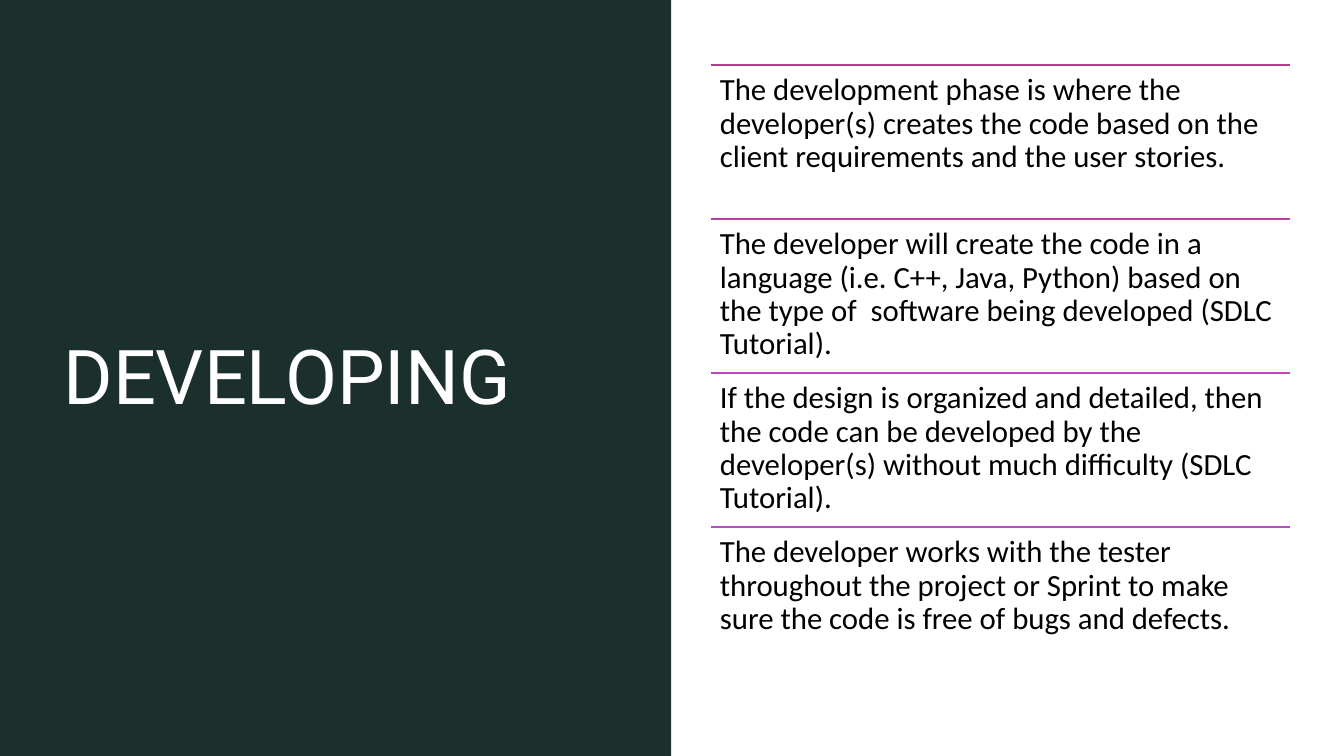
from lxml.etree import SubElement
from pptx import Presentation
from pptx.dml.color import RGBColor
from pptx.enum.shapes import MSO_CONNECTOR, MSO_SHAPE
from pptx.enum.text import MSO_ANCHOR, PP_ALIGN
from pptx.oxml.ns import qn
from pptx.util import Pt

DARK_GREEN = RGBColor(0x1B, 0x30, 0x2C)
WHITE = RGBColor(0xFF, 0xFF, 0xFF)
BLACK = RGBColor(0x00, 0x00, 0x00)

LEFT, TOP, WIDTH, ROW_HEIGHT = 507.6, 46.5, 414, 110

POINTS = [
    (RGBColor(0xB1, 0x3B, 0x8C),
     "The development phase is where the developer(s) creates the code "
     "based on the client requirements and the user stories."),
    (RGBColor(0xBA, 0x3E, 0xA4),
     "The developer will create the code in a language (i.e. C++, Java, Python) "
     "based on the type of  software being developed (SDLC Tutorial)."),
    (RGBColor(0xC0, 0x44, 0xBC),
     "If the design is organized and detailed, then the code can be developed "
     "by the developer(s) without much difficulty (SDLC Tutorial)."),
    (RGBColor(0xB7, 0x4D, 0xC3),
     "The developer works with the tester throughout the project or Sprint "
     "to make sure the code is free of bugs and defects."),
]


def add_text(s, text, box, frame_format, font_format, color, spacing):
    tf = s.shapes.add_textbox(*[Pt(v) for v in box]).text_frame
    for name, value in frame_format.items():
        setattr(tf, name, value)
    p = tf.paragraphs[0]
    p.alignment = PP_ALIGN.LEFT
    p.line_spacing = spacing
    r = p.add_run()
    r.text = text
    for name, value in font_format.items():
        setattr(r.font, name, value)
    r.font.color.rgb = color


prs = Presentation()
prs.slide_width, prs.slide_height = Pt(960), Pt(540)
s = prs.slides.add_slide(prs.slide_layouts[6])
s.background.fill.solid()
s.background.fill.fore_color.rgb = WHITE

panel = s.shapes.add_shape(MSO_SHAPE.RECTANGLE, Pt(0), Pt(0), Pt(479.5), Pt(540))
panel.shadow.inherit = False
panel.fill.solid()
panel.fill.fore_color.rgb = DARK_GREEN
panel.line.fill.background()

title_frame = {"word_wrap": True, "vertical_anchor": MSO_ANCHOR.MIDDLE}
title_font = {"name": "Roboto", "size": Pt(54)}
add_text(s, "DEVELOPING", (38.2, 38.2, 399.6, 457.9),
         title_frame, title_font, WHITE, 1.0)

body_frame = {"word_wrap": True, "vertical_anchor": MSO_ANCHOR.TOP}
for side in ("left", "top", "right", "bottom"):
    body_frame[f"margin_{side}"] = Pt(6.6)
body_font = {"name": "Calibri", "size": Pt(22)}

for i, (color, text) in enumerate(POINTS):
    y = TOP + i * ROW_HEIGHT
    rule = s.shapes.add_connector(MSO_CONNECTOR.STRAIGHT,
                                  Pt(LEFT), Pt(y), Pt(LEFT + WIDTH), Pt(y))
    rule.line.color.rgb = color
    rule.line.width = Pt(1)
    SubElement(rule._element.spPr, qn("a:effectLst"))
    add_text(s, text, (LEFT, y, WIDTH, ROW_HEIGHT),
             body_frame, body_font, BLACK, 0.9)

prs.save("out.pptx")
